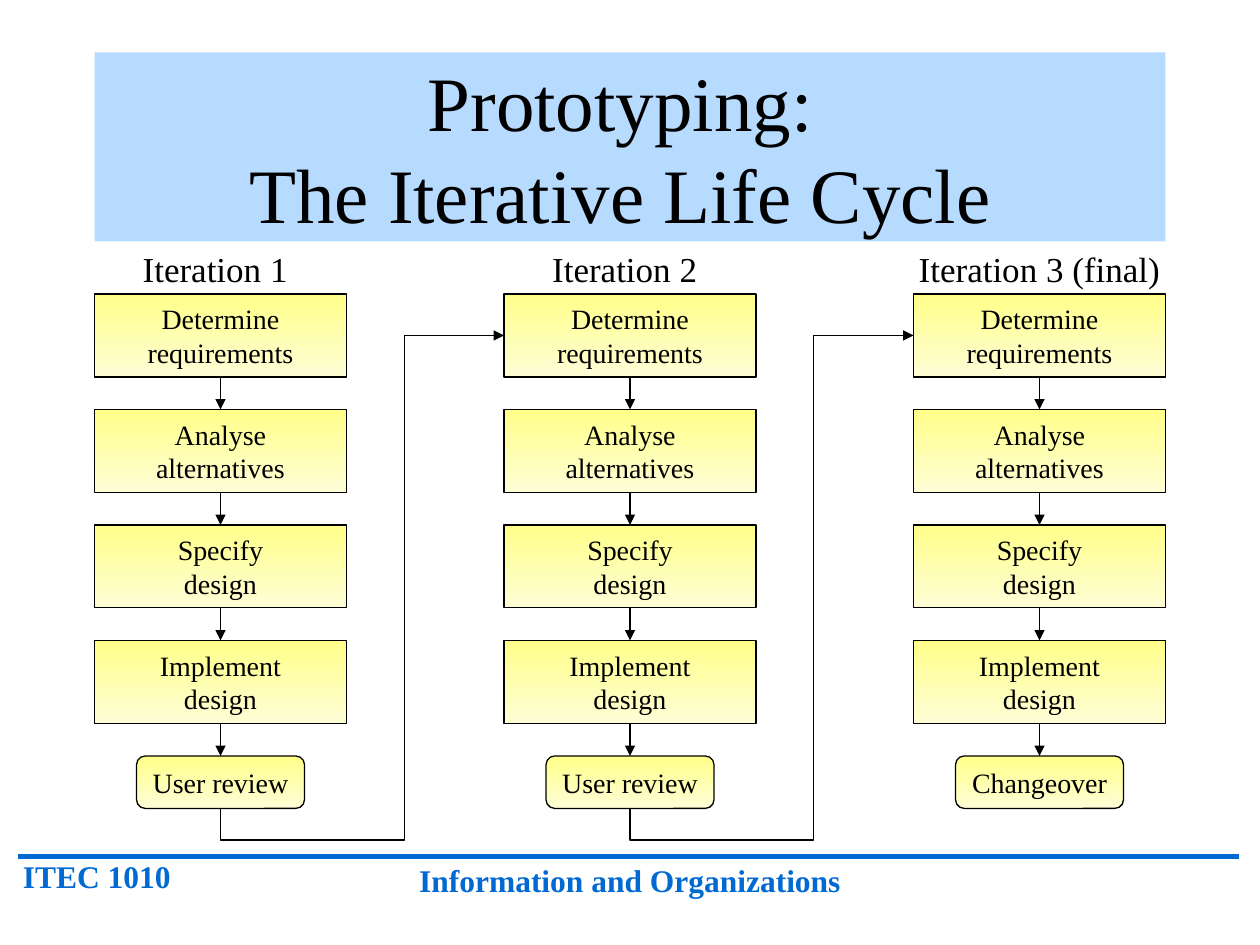
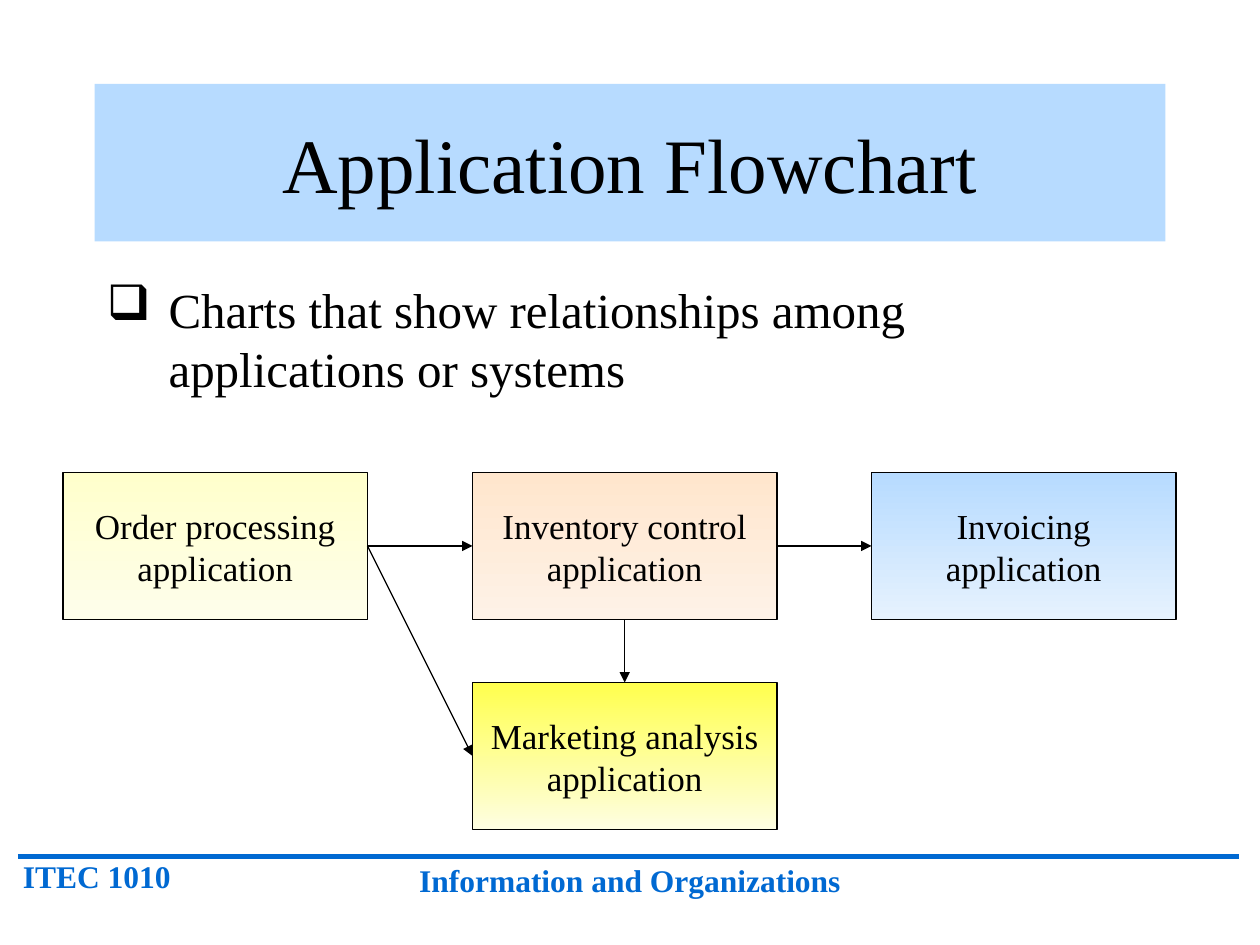
from lxml.etree import SubElement as Sub
from pptx import Presentation
from pptx.dml.color import RGBColor as RGB
from pptx.enum.shapes import MSO_CONNECTOR as LINK, MSO_SHAPE as SHAPE
from pptx.enum.text import MSO_ANCHOR as ANCHOR, MSO_AUTO_SIZE as AUTO, PP_ALIGN as ALIGN
from pptx.oxml.ns import qn
from pptx.util import Inches, Pt

COLS, ROWS = 120, 90
FONT = "Times New Roman"
HUES = {
    "ink": "000000", "blue": "0069D2", "band": "B7DBFF",
    "lemon": "FFFF89", "cream": "FEFED6",
    "straw": "FFFFCC", "milk": "FEFEEB",
    "peach": "FFE6CD", "shell": "FEF2E7", "ice": "E6F2FE",
    "sun": "FFFF4D", "pearl": "FEFEE2",
}
TOP, LEFT, BOTTOM, RIGHT = range(4)


def hue(name):
    return RGB.from_string(HUES[name])


class Deck:
    """Style and current slide; lengths are columns and rows of a 120 x 90 grid."""

    def __init__(self):
        self.prs = Presentation()
        self.prs.slide_width, self.prs.slide_height = Inches(10), Inches(7.5)

    def spot(self, x, y):
        return int(self.prs.slide_width * x / COLS), int(self.prs.slide_height * y / ROWS)

    def area(self, x, y, wide, high):
        return *self.spot(x, y), *self.spot(wide, high)

    def page(self, title, top, high):
        """Add a slide with its title band and footer."""
        self.slide = self.prs.slides.add_slide(self.prs.slide_layouts[5])
        self.shapes = self.slide.shapes
        band = self.shapes.title
        band.left, band.top, band.width, band.height = self.area(9, top, 102, high)
        band.fill.solid()
        band.fill.fore_color.rgb = hue("band")
        self.label(band, title, 44)
        self.foot()

    def foot(self):
        self.line((1.7, 81.6), (118, 81.6), "blue", 3)
        self.text("ITEC 1010", (1, 81, 20, 4.8), 18, "blue", True, ALIGN.LEFT)
        self.text("Information and Organizations", (31, 81.4, 58, 4.8), 18, "blue", True)

    def label(self, shape, words, size, tone="ink", bold=False,
              align=ALIGN.CENTER, anchor=ANCHOR.MIDDLE, wrap=True):
        frame = shape.text_frame
        frame.text = words
        frame.auto_size = AUTO.NONE
        frame.word_wrap = wrap
        frame.vertical_anchor = anchor
        for para in frame.paragraphs:
            para.alignment = align
            for run in para.runs:
                font = run.font
                font.name, font.size, font.bold = FONT, Pt(size), bold
                font.color.rgb = hue(tone)

    def text(self, words, area, size, tone="ink", bold=False, align=ALIGN.CENTER):
        box = self.shapes.add_textbox(*self.area(*area))
        self.label(box, words, size, tone, bold, align, ANCHOR.TOP)
        return box

    def point(self, words, area):
        """Add a bulleted statement."""
        box = self.text(words, area, 28, align=ALIGN.LEFT)
        props = box.text_frame.paragraphs[0]._p.get_or_add_pPr()
        props.set("marL", str(Inches(0.49)))
        props.set("indent", str(-Inches(0.49)))
        Sub(Sub(props, qn("a:buClr")), qn("a:srgbClr"), val=HUES["ink"])
        Sub(props, qn("a:buChar"), char="❑")

    def box(self, words, area, size, tones=("lemon", "cream"), kind=SHAPE.RECTANGLE):
        box = self.shapes.add_shape(kind, *self.area(*area))
        box.shadow.inherit = False
        box.fill.gradient()
        box.fill.gradient_angle = 270
        for stop, tone in zip(box.fill.gradient_stops, tones):
            stop.color.rgb = hue(tone)
        box.line.color.rgb = hue("ink")
        box.line.width = Pt(0.75)
        self.label(box, words, size, wrap=False)
        return box

    def line(self, start, end, tone="ink", width=0.75, head=False, kind=LINK.STRAIGHT):
        line = self.shapes.add_connector(kind, *self.spot(*start), *self.spot(*end))
        line.line.color.rgb = hue(tone)
        line.line.width = Pt(width)
        props = line._element.spPr
        if head:
            Sub(props.find(qn("a:ln")), qn("a:tailEnd"), type="triangle")
        Sub(props, qn("a:effectLst"))
        return line

    def join(self, first, side, last, port):
        """Draw an arrow between the middles of two sides."""
        arrow = self.line((0, 0), (1, 1), head=True)
        arrow.begin_connect(first, side)
        arrow.end_connect(last, port)

    def loop(self, start, end):
        """Draw an elbow arrow that dips below start, then climbs to end."""
        (x, y), (far, high) = start, end
        rise, run = y - high, far - x
        left, top = (x + far - rise) / 2, (y + high - run) / 2
        arrow = self.line((left, top), (left + rise, top + run), head=True, kind=LINK.ELBOW)
        props = arrow._element.spPr
        props.find(qn("a:xfrm")).set("rot", str(270 * 60000))
        geom = props.find(qn("a:prstGeom"))
        geom.set("prst", "bentConnector4")
        guides = geom.find(qn("a:avLst"))
        if guides is None:
            guides = Sub(geom, qn("a:avLst"))
        for name, part in (("adj1", -3 / rise), ("adj2", 17.5 / run)):
            Sub(guides, qn("a:gd"), name=name, fmla=f"val {round(part * 100000)}")


def cycle(deck):
    deck.page("Prototyping: \vThe Iterative Life Cycle ", 5, 18)
    steps = ["Determine\vrequirements", "Analyse\valternatives",
             "Specify\ndesign", "Implement\vdesign"]
    rounds = [("Iteration 1", 12, 17, "User review"),
              ("Iteration 2", 51, 17, "User review"),
              ("Iteration 3 (final)", 84, 30, "Changeover")]
    gap, wide = 39, 24
    for i, (label, left, span, last) in enumerate(rounds):
        x = 9 + gap * i
        deck.text(label, (left, 23, span, 5.3), 20)
        chain = [deck.box(step, (x, 28 + 11 * j, wide, 7.9), 16)
                 for j, step in enumerate(steps)]
        chain.append(deck.box(last, (x + 4, 72, 16, 5), 16, kind=SHAPE.ROUNDED_RECTANGLE))
        for upper, lower in zip(chain, chain[1:]):
            deck.join(upper, BOTTOM, lower, TOP)
        if i < len(rounds) - 1:
            deck.loop((x + wide / 2, 77), (x + gap, 31.95))


def flow(deck):
    deck.page("Application Flowchart", 8, 15)
    deck.point("Charts that show relationships among applications or systems",
               (9, 26, 102, 16))
    apps = [("Order processing", 6, 45, ("straw", "milk")),
            ("Inventory control", 45, 45, ("peach", "shell")),
            ("Invoicing", 83, 45, ("band", "ice")),
            ("Marketing analysis", 45, 65, ("sun", "pearl"))]
    order, stock, bill, market = [
        deck.box(f"{name}\vapplication", (x, y, 29, 14), 20, tones)
        for name, x, y, tones in apps]
    deck.join(order, RIGHT, stock, LEFT)
    deck.join(stock, RIGHT, bill, LEFT)
    deck.join(stock, BOTTOM, market, TOP)
    deck.join(order, RIGHT, market, LEFT)


def main():
    deck = Deck()
    cycle(deck)
    flow(deck)
    deck.prs.save("out.pptx")


if __name__ == "__main__":
    main()
